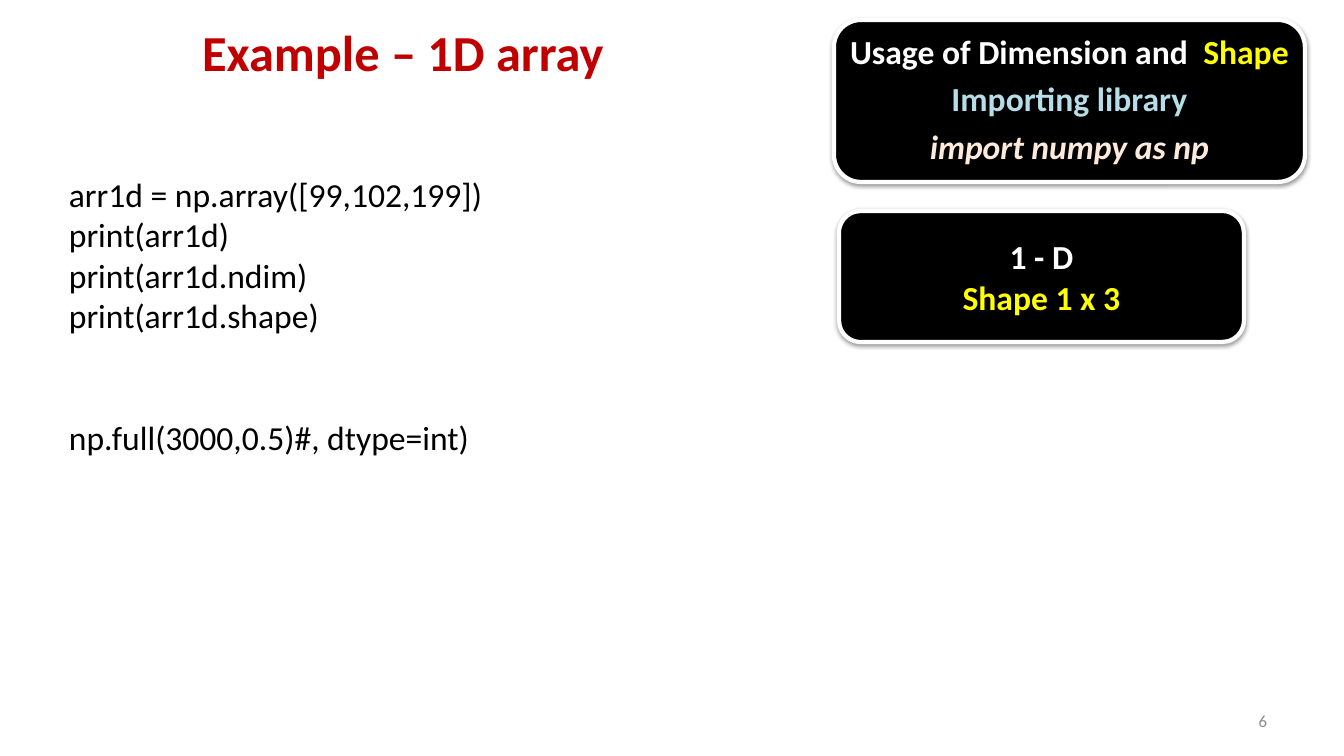
from lxml.etree import SubElement
from pptx import Presentation
from pptx.dml.color import RGBColor
from pptx.enum.shapes import MSO_SHAPE
from pptx.enum.text import MSO_ANCHOR, PP_ALIGN
from pptx.oxml.ns import qn
from pptx.util import Emu, Pt

# Content: a line is a list of runs, each (text, colour, italic)
HUES = {"red": "C00000", "black": "000000", "white": "FFFFFF", "yellow": "FFFF00",
        "aqua": "B7DEE8", "peach": "FDEADA", "gray": "8C8C8C"}
TITLE = [[("Example – 1D array", "red", False)]]
CODE = ["arr1d = np.array([99,102,199])", "print(arr1d)", "print(arr1d.ndim)",
        "print(arr1d.shape)", "np.full(3000,0.5)#, dtype=int)"]
PAGE = [[("6", "gray", False)]]
CARDS = [
    {"box": (834, 20, 471, 162), "fmt": {"lead": 0.9, "after": 8},
     "lines": [[("Usage of Dimension and ", "white", False), (" Shape", "yellow", False)],
               [("Importing library", "aqua", False)],
               [("import numpy as np", "peach", True)]]},
    {"box": (839, 211, 405, 131), "fmt": {},
     "lines": [[("1 - D", "white", False)], [("Shape 1 x 3", "yellow", False)]]},
]


def px(num):
    return Emu(round(num * 914400 / 100.8))


def place(box):
    return [px(num) for num in box]


def hue(name):
    return RGBColor.from_string(HUES[name])


def write(shape, lines, size=24, bold=False, align=PP_ALIGN.LEFT,
          anchor=MSO_ANCHOR.MIDDLE, lead=1.0, after=0, inset=None):
    frame = shape.text_frame
    frame.word_wrap = True
    frame.vertical_anchor = anchor
    if inset is not None:
        frame.margin_left = frame.margin_right = px(inset)
    for num, line in enumerate(lines):
        para = frame.paragraphs[0] if num == 0 else frame.add_paragraph()
        para.alignment = align
        para.line_spacing = lead
        para.space_after = Pt(after)
        for text, tint, slant in line:
            run = para.add_run()
            run.text = text
            font = run.font
            font.name, font.size = "Calibri", Pt(size)
            font.bold, font.italic = bold, slant
            font.color.rgb = hue(tint)
    return frame


def shade(shape):
    shape.shadow.inherit = False
    parts = shape._element.spPr.find(qn("a:effectLst"))
    drop = SubElement(parts, qn("a:outerShdw"), blurRad="40000", dist="20000",
                      dir="5400000", rotWithShape="0")
    tint = SubElement(drop, qn("a:srgbClr"), val=HUES["black"])
    SubElement(tint, qn("a:alpha"), val="38000")


deck = Presentation()
deck.slide_width, deck.slide_height = px(1344), px(756)
slide = deck.slides.add_slide(deck.slide_layouts[5])

# Title
title = slide.shapes.title
title.left, title.top, title.width, title.height = place((6, 10, 794, 82))
write(title, TITLE, size=36, bold=True, align=PP_ALIGN.CENTER)

# Page number
page = slide.shapes.add_textbox(*place((964, 701, 313, 40)))
write(page, PAGE, size=12, align=PP_ALIGN.RIGHT)

# Dark cards
for item in CARDS:
    card = slide.shapes.add_shape(MSO_SHAPE.ROUNDED_RECTANGLE, *place(item["box"]))
    card.fill.solid()
    card.fill.fore_color.rgb = hue("black")
    card.line.color.rgb = hue("white")
    card.line.width = Pt(3)
    shade(card)
    write(card, item["lines"], bold=True, align=PP_ALIGN.CENTER, inset=5, **item["fmt"])

# Code, with a two-line gap before the last statement
code = slide.shapes.add_textbox(*place((59, 169, 676, 295)))
body = write(code, [[(line, "black", False)] for line in CODE], anchor=MSO_ANCHOR.TOP)
body.paragraphs[-1].space_before = Pt(58)

deck.save("out.pptx")
